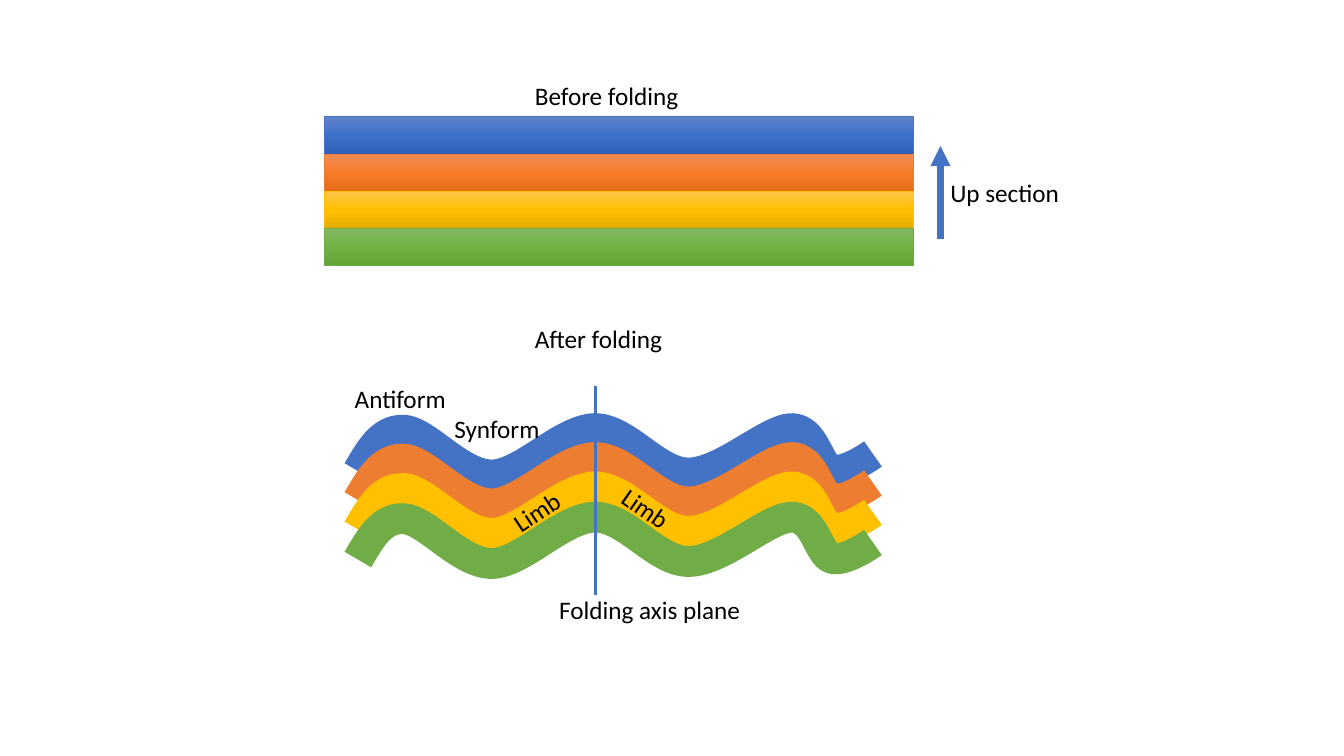
from copy import deepcopy

from lxml import etree
from pptx import Presentation
from pptx.dml.color import RGBColor
from pptx.enum.shapes import MSO_CONNECTOR, MSO_SHAPE
from pptx.oxml.ns import qn
from pptx.util import Cm, Pt

STRAIGHT, RECT = MSO_CONNECTOR.STRAIGHT, MSO_SHAPE.RECTANGLE

BLUE = "4472C4"
LAYERS = [
    (BLUE, ("6183CB", "3E70CA", "3062BB"), 10.80),
    ("ED7D31", ("F18C57", "F67B28", "E56C19"), 11.53),
    ("FFC000", ("FFC64B", "FFC000", "E3AB00"), 12.27),
    ("70AD47", ("81B861", "6FB242", "62A336"), 13.03),
]
BED_X, BED_Y, BED_W, BED_H = 8.18, 2.94, 14.85, 0.94
FOLD_START = (9.02, 1.07)
FOLD_CURVES = [
    ((9.32, 0.56), (9.60, 0.03), (10.16, 0.04)),
    ((10.74, 0.05), (11.58, 1.17), (12.40, 1.17)),
    ((13.18, 1.15), (14.15, 0.03), (14.99, 0)),
    ((15.80, 0), (16.54, 1.12), (17.35, 1.12)),
    ((18.19, 1.12), (19.33, 0.03), (19.94, 0)),
    ((20.55, 0), (20.62, 0.94), (20.96, 1.04)),
    ((21.31, 1.14), (22.00, 0.64), (22.00, 0.64)),
]
UP_ARROW = (23.70, 6.02, 3.68)
AXIS = (15.01, 9.73, 14.99)
AXIS_LABEL = ("Folding axis plane", 13.84, 14.86, 6.02, 0)
LABELS = [
    ("Before folding", 13.23, 1.90, 6.02, 0),
    ("Up section", 23.70, 4.34, 6.02, 0),
    ("After folding", 13.23, 8.03, 6.02, 0),
    ("Synform", 11.20, 10.29, 6.02, 0),
    ("Antiform", 8.69, 9.53, 4.67, 0),
    ("Limb", 12.29, 11.20, 6.02, 326.5),
    ("Limb", 15.01, 13.51, 6.02, 34.8),
]


def rgb(color):
    return RGBColor.from_string(color)


def set_line(sp, color, width):
    sp.line.color.rgb = rgb(color)
    sp.line.width = Pt(width)


def add_bed(shapes, y, color, stops):
    sp = shapes.add_shape(RECT, Cm(BED_X), Cm(y), Cm(BED_W), Cm(BED_H))
    sp.shadow.inherit = False
    sp.fill.gradient()
    sp.fill.gradient_angle = 270
    gs_list = sp._element.spPr.find(".//" + qn("a:gsLst"))
    gs_list.append(deepcopy(gs_list[0]))
    for stop, stop_color, position in zip(sp.fill.gradient_stops, stops, (0, 0.5, 1)):
        stop.color.rgb = rgb(stop_color)
        stop.position = position
    set_line(sp, color, 0.5)


def add_fold(shapes, top, color):
    points = [(Cm(x), Cm(top + y)) for curve in FOLD_CURVES for x, y in curve]
    x, y = FOLD_START
    builder = shapes.build_freeform(Cm(x), Cm(top + y))
    builder.add_line_segments(points, close=False)
    sp = builder.convert_to_shape()
    path = sp._element.spPr.find(".//" + qn("a:path"))
    segments = path.findall(qn("a:lnTo"))
    for i in range(0, len(segments), 3):
        curve = etree.SubElement(path, qn("a:cubicBezTo"))
        for segment in segments[i:i + 3]:
            curve.append(segment[0])
            path.remove(segment)
    sp.shadow.inherit = False
    sp.fill.background()
    set_line(sp, color, 22)


def add_vertical(shapes, x, y1, y2, width):
    sp = shapes.add_connector(STRAIGHT, Cm(x), Cm(y1), Cm(x), Cm(y2))
    set_line(sp, BLUE, width)
    etree.SubElement(sp._element.spPr, qn("a:effectLst"))
    return sp


def add_label(shapes, text, x, y, width, rotation):
    sp = shapes.add_textbox(Cm(x), Cm(y), Cm(width), Cm(1.03))
    sp.rotation = rotation
    tf = sp.text_frame
    tf.word_wrap = True
    tf.text = text
    font = tf.paragraphs[0].runs[0].font
    font.name, font.size = "Calibri", Pt(18)
    font.color.rgb = rgb("000000")


def main():
    prs = Presentation()
    prs.slide_width, prs.slide_height = Cm(33.87), Cm(19.05)
    s = prs.slides.add_slide(prs.slide_layouts[6])

    beds = s.shapes.add_group_shape().shapes
    folds = s.shapes.add_group_shape().shapes
    for i, (color, stops, top) in enumerate(LAYERS):
        add_bed(beds, BED_Y + i * BED_H, color, stops)
        add_fold(folds, top, color)
    add_vertical(folds, *AXIS, 2)
    add_label(folds, *AXIS_LABEL)

    arrow = add_vertical(s.shapes, *UP_ARROW, 4.75)
    etree.SubElement(arrow.line._get_or_add_ln(), qn("a:tailEnd"), type="triangle")
    for label in LABELS:
        add_label(s.shapes, *label)

    prs.save("out.pptx")


if __name__ == "__main__":
    main()
